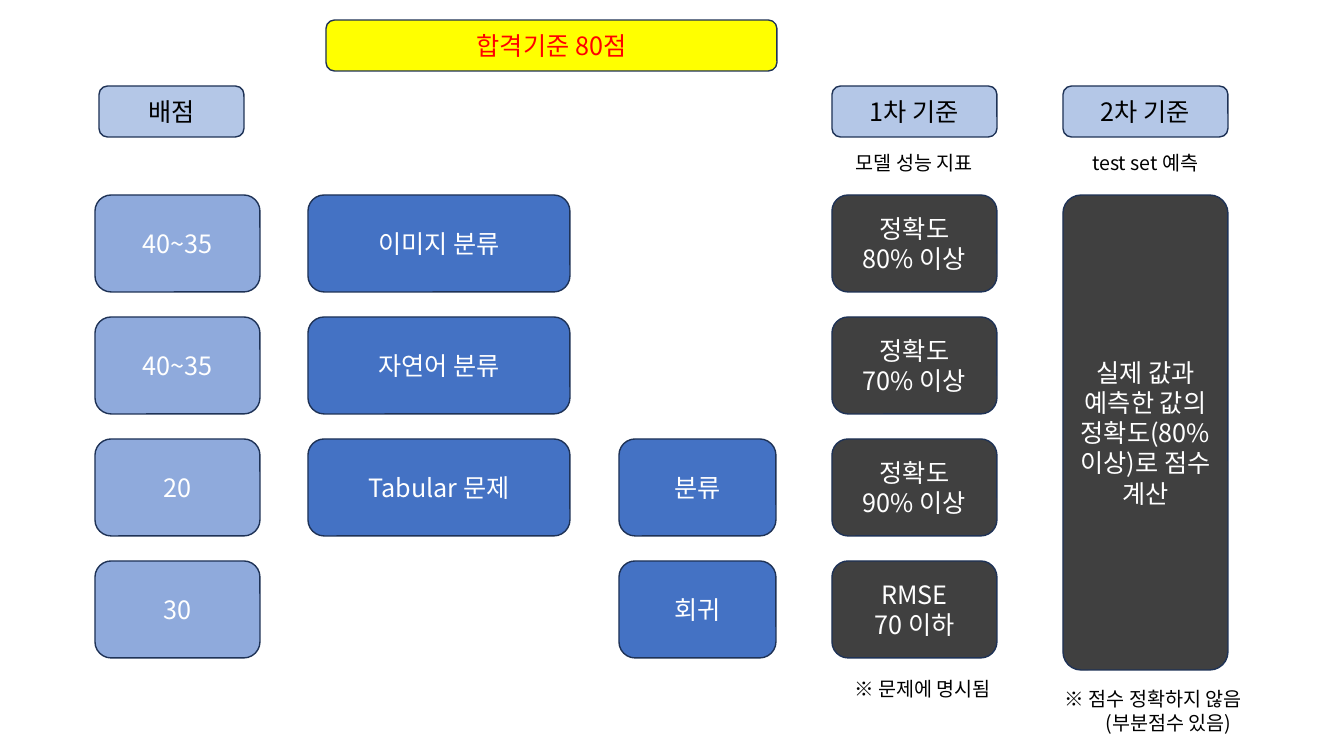
from pptx import Presentation
from pptx import util as u
from pptx.dml.color import RGBColor
from pptx.enum import shapes, text
from pptx.oxml.ns import qn
from lxml import etree

EMU_PER_PX = 914400 / 100.8
FONT = "Noto Sans CJK KR"
OUTLINE = "1E3256"
BLUE, LIGHT_BLUE, PALE_BLUE, DARK = "4472C4", "8FAADC", "B4C7E7", "404040"
WHITE, BLACK, RED, YELLOW = "FFFFFF", "000000", "FF0000", "FFFF00"

ROW_TOP, ROW_PITCH, ROW_HEIGHT = 195, 122, 97
HEADER_TOP, HEADER_HEIGHT = 86, 51

# left, width, fill, {row: lines}
COLUMNS = [
    (95, 165, LIGHT_BLUE, {0: ["40~35"], 1: ["40~35"], 2: ["20"], 3: ["30"]}),
    (308, 262, BLUE, {0: ["이미지 분류"], 1: ["자연어 분류"], 2: ["Tabular 문제"]}),
    (619, 157, BLUE, {2: ["분류"], 3: ["회귀"]}),
    (832, 165, DARK, {0: ["정확도", "80% 이상"], 1: ["정확도", "70% 이상"],
                      2: ["정확도", "90% 이상"], 3: ["RMSE", "70 이하"]}),
]
# left, width, title
HEADERS = [(99, 145, "배점"), (832, 165, "1차 기준"), (1063, 165, "2차 기준")]
PASS_MARK = ((326, 20, 451, HEADER_HEIGHT), ["합격기준 80점"])
FINAL_CRITERION = ((1063, 195, 165, 475), ["실제 값과 예측한 값의 정확도(80% 이상)로 점수 계산"])
# box, lines, indent of the lines after the first
NOTES = [
    ((815, 146, 199, 34), ["모델 성능 지표"], 0),
    ((1046, 146, 199, 34), ["test set 예측"], 0),
    ((815, 672, 215, 34), ["※ 문제에 명시됨"], 0),
    ((1046, 682, 215, 57), ["※ 점수 정확하지 않음", "(부분점수 있음)"], 30),
]


def px(length):
    return u.Emu(round(length * EMU_PER_PX))


def color(hex_value):
    return RGBColor.from_string(hex_value)


def write(shape, lines, size, font_color, indent=0, **frame_format):
    """Fill a shape with centred paragraphs, indenting those after the first."""
    frame = shape.text_frame
    for name, value in {"word_wrap": True, **frame_format}.items():
        setattr(frame, name, value)
    for index, line in enumerate(lines):
        paragraph = frame.paragraphs[0] if index == 0 else frame.add_paragraph()
        paragraph.alignment = text.PP_ALIGN.CENTER
        if index and indent:
            paragraph._p.get_or_add_pPr().set("marL", str(px(indent)))
        run = paragraph.add_run()
        run.text = line
        for name, value in {"name": FONT, "size": u.Pt(size)}.items():
            setattr(run.font, name, value)
        run.font.color.rgb = color(font_color)
        east_asian = etree.SubElement(run._r.get_or_add_rPr(), qn("a:ea"))
        east_asian.set("typeface", FONT)


def add_box(slide, box, lines, fill, font_color=WHITE, corner=None):
    shape = slide.shapes.add_shape(
        shapes.MSO_SHAPE.ROUNDED_RECTANGLE, *map(px, box))
    shape.shadow.inherit = False
    shape.fill.solid()
    shape.fill.fore_color.rgb = color(fill)
    shape.line.color.rgb = color(OUTLINE)
    shape.line.width = u.Pt(1)
    if corner is not None:
        shape.adjustments[0] = corner
    write(shape, lines, 18, font_color, vertical_anchor=text.MSO_ANCHOR.MIDDLE)


def main():
    presentation = Presentation()
    presentation.slide_width, presentation.slide_height = px(1344), px(756)
    slide = presentation.slides.add_slide(presentation.slide_layouts[6])

    for left, width, fill, cells in COLUMNS:
        for row, lines in cells.items():
            top = ROW_TOP + row * ROW_PITCH
            add_box(slide, (left, top, width, ROW_HEIGHT), lines, fill)

    for left, width, title in HEADERS:
        box = (left, HEADER_TOP, width, HEADER_HEIGHT)
        add_box(slide, box, [title], PALE_BLUE, BLACK)

    add_box(slide, *PASS_MARK, YELLOW, RED)
    add_box(slide, *FINAL_CRITERION, DARK, corner=0.11)

    for box, lines, indent in NOTES:
        note = slide.shapes.add_textbox(*map(px, box))
        write(note, lines, 14, BLACK, indent,
              auto_size=text.MSO_AUTO_SIZE.SHAPE_TO_FIT_TEXT)

    presentation.save("out.pptx")


if __name__ == "__main__":
    main()
